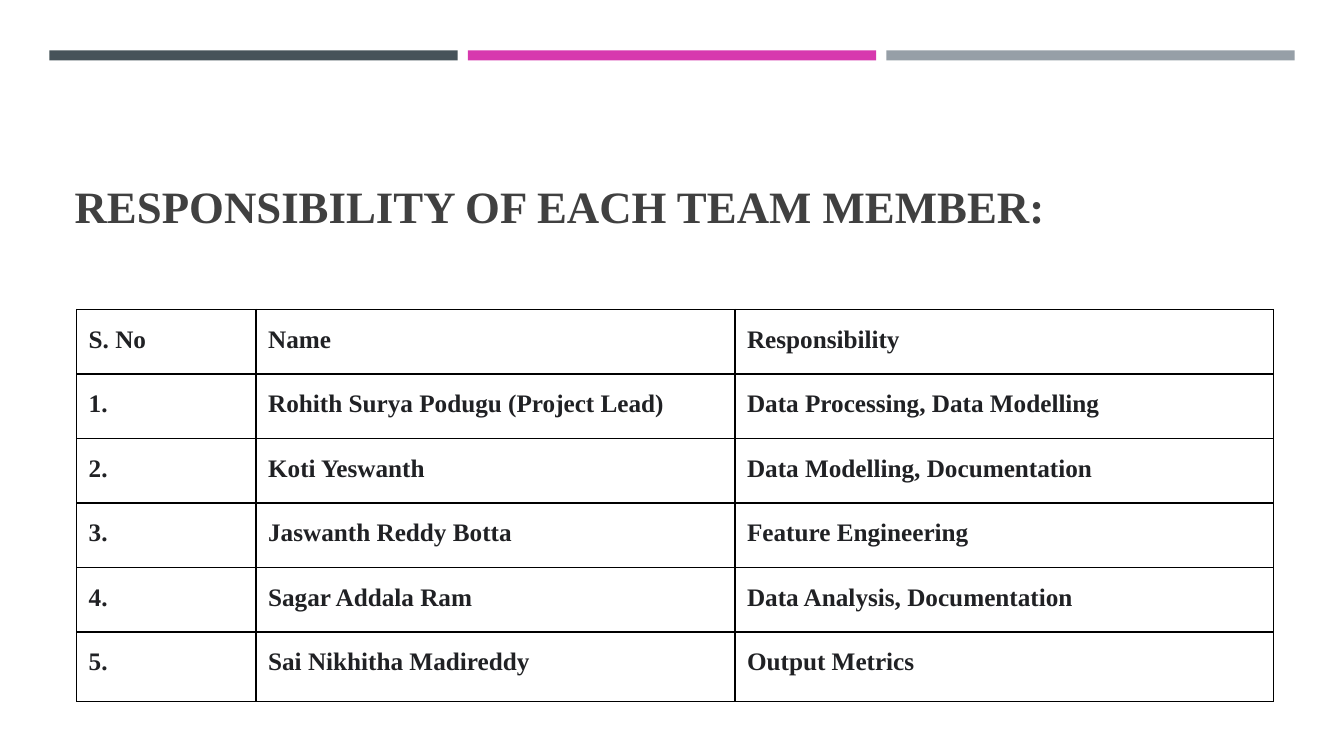
from lxml.etree import SubElement
from pptx import Presentation
from pptx.dml.color import RGBColor
from pptx.enum.shapes import MSO_SHAPE as Preset
from pptx.enum.text import MSO_ANCHOR as Anchor, MSO_AUTO_SIZE as AutoSize, PP_ALIGN as Align
from pptx.oxml.ns import qn
from pptx.util import Pt

PX = 9144
FONT = "Times New Roman"
COLORS = {
    "background": "FFFFFF",
    "title": "404040",
    "text": "202124",
    "border": "000000",
    "slate": "465359",
    "magenta": "D739AE",
    "gray": "969FA7",
}
TEAM = [
    ("Rohith Surya Podugu (Project Lead)", "Data Processing, Data Modelling"),
    ("Koti Yeswanth", "Data Modelling, Documentation"),
    ("Jaswanth Reddy Botta", "Feature Engineering"),
    ("Sagar Addala Ram", "Data Analysis, Documentation"),
    ("Sai Nikhitha Madireddy", "Output Metrics"),
]


def px(*lengths):
    """Turn whole pixel lengths into EMU."""
    return [length * PX for length in lengths]


def color(name):
    """Look up a named colour."""
    return RGBColor.from_string(COLORS[name])


def write_text(frame, text, size=18, fill="text", line_spacing=1.0, space_after=0):
    """Write one bold left-aligned paragraph into a text frame."""
    paragraph = frame.paragraphs[0]
    paragraph.alignment = Align.LEFT
    paragraph.line_spacing = line_spacing
    paragraph.space_before = Pt(0)
    paragraph.space_after = Pt(space_after)
    run = paragraph.add_run()
    run.text = text
    run.font.name = FONT
    run.font.size = Pt(size)
    run.font.bold = True
    run.font.color.rgb = color(fill)


def add_bars(slide, left, top, width, height, gap=10):
    """Split the box into three equal coloured bars."""
    names = ("slate", "magenta", "gray")
    bar_width = (width - gap * (len(names) - 1)) // len(names)
    for index, name in enumerate(names):
        bar_left = left + index * (bar_width + gap)
        bar = slide.shapes.add_shape(Preset.RECTANGLE, *px(bar_left, top, bar_width, height))
        bar.shadow.inherit = False
        bar.fill.solid()
        bar.fill.fore_color.rgb = color(name)
        bar.line.fill.background()


def add_title(slide, left, top, width, height):
    """Place the title placeholder in the box and fill it."""
    title = slide.shapes.title
    title.left, title.top, title.width, title.height = px(left, top, width, height)
    frame = title.text_frame
    frame.auto_size = AutoSize.NONE
    frame.word_wrap = True
    frame.vertical_anchor = Anchor.BOTTOM
    write_text(frame, "RESPONSIBILITY OF EACH TEAM MEMBER:", size=32, fill="title", space_after=6)


def set_borders(cell):
    """Draw a thin solid line on every side of a cell."""
    properties = cell._tc.get_or_add_tcPr()
    for index, side in enumerate(("lnL", "lnR", "lnT", "lnB")):
        line = properties.makeelement(qn(f"a:{side}"), {"w": str(Pt(1))})
        properties.insert(index, line)
        fill = SubElement(line, qn("a:solidFill"))
        SubElement(fill, qn("a:srgbClr"), val=COLORS["border"])


def format_cell(cell, text):
    """Give a cell its text, margins, fill and borders."""
    cell.margin_left = cell.margin_right = cell.margin_top = cell.margin_bottom = 12 * PX
    cell.fill.solid()
    cell.fill.fore_color.rgb = color("background")
    write_text(cell.text_frame, text, line_spacing=1.15)
    set_borders(cell)


def add_team_table(slide, left, top, width, height):
    """Fill the box with the numbered team table."""
    rows = [("S. No", "Name", "Responsibility")]
    rows += [(f"{number}.", *member) for number, member in enumerate(TEAM, 1)]
    table = slide.shapes.add_table(len(rows), 3, *px(left, top, width, height)).table
    table.first_row = table.horz_banding = False
    number_width, name_width, row_height = 178, 475, 64
    widths = (number_width, name_width, width - number_width - name_width)
    for column, column_width in zip(table.columns, px(*widths)):
        column.width = column_width
    for row, texts in zip(table.rows, rows):
        row.height = row_height * PX
        for cell, text in zip(row.cells, texts):
            format_cell(cell, text)
    table.rows[len(rows) - 1].height = (height - row_height * (len(rows) - 1)) * PX


def build_team_slide(presentation):
    """Add the slide that lists who is responsible for what."""
    slide = presentation.slides.add_slide(presentation.slide_layouts[5])
    slide.background.fill.solid()
    slide.background.fill.fore_color.rgb = color("background")
    add_title(slide, 64, 161, 1202, 75)
    add_bars(slide, 49, 50, 1235, 10)
    add_team_table(slide, 76, 307, 1187, 389)


def main():
    """Build and save the presentation."""
    presentation = Presentation()
    presentation.slide_width, presentation.slide_height = px(1333, 750)
    build_team_slide(presentation)
    presentation.save("out.pptx")


if __name__ == "__main__":
    main()
